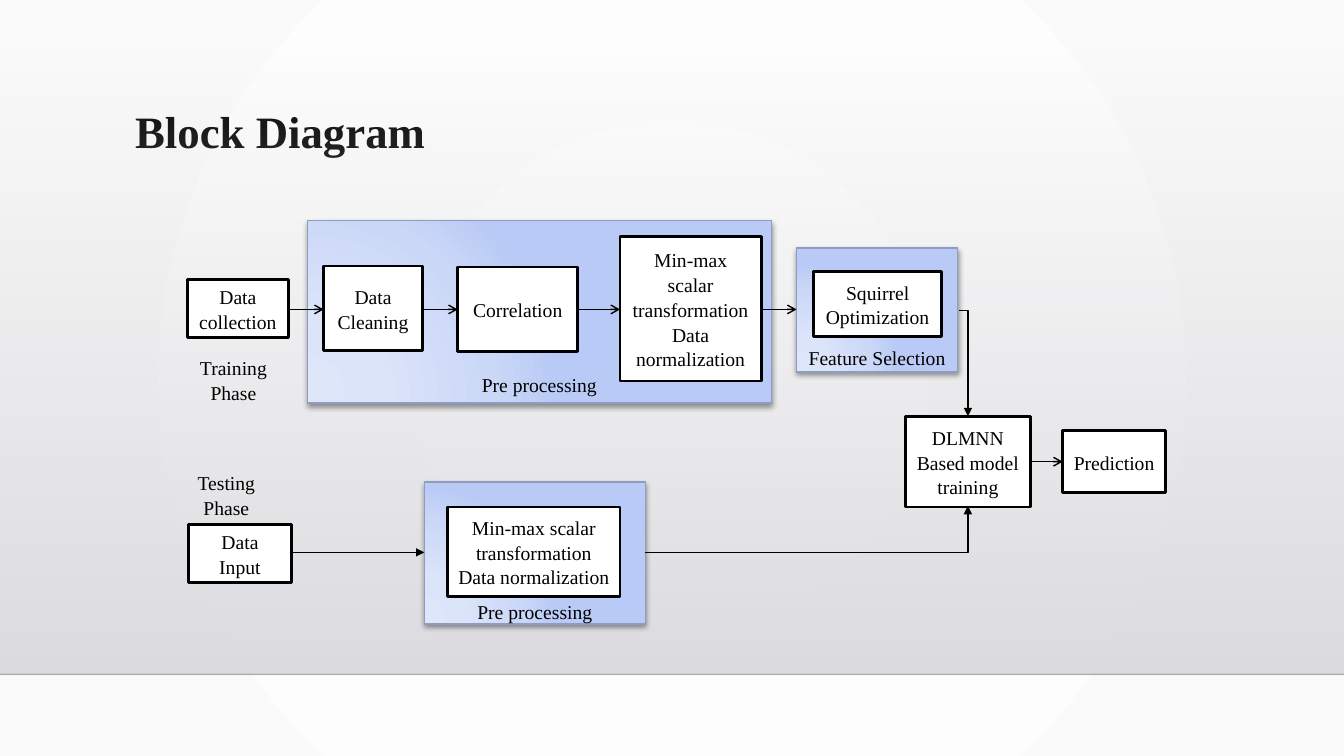
from lxml import etree
from pptx import Presentation
from pptx.dml.color import RGBColor
from pptx.enum.shapes import MSO_CONNECTOR as CONN, MSO_SHAPE as SHAPE
from pptx.enum.text import MSO_ANCHOR as ANCHOR, PP_ALIGN as ALIGN
from pptx.oxml.ns import qn
from pptx.util import Inches, Pt


def rgb(value):
    return RGBColor.from_string(value)


def add_node(parent, tag, **attrs):
    return etree.SubElement(parent, qn(tag), {k: str(v) for k, v in attrs.items()})


class Diagram:
    font, size, ink, paper = "Times New Roman", 14, "000000", "FFFFFF"
    panel_stops = [(0, "DEE6FA"), (30, "DBE4F9"), (75, "CAD7F7"), (100, "B8CAF5")]
    panel_edge = "8D9CBF"

    def __init__(self, prs):
        self.slide = prs.slides.add_slide(prs.slide_layouts[5])

    def gradient(self, parent, stops, focus=None, angle=90):
        grad = etree.Element(qn("a:gradFill"), rotWithShape="1")
        stop_list = add_node(grad, "a:gsLst")
        for pos, color, *alpha in stops:
            stop = add_node(stop_list, "a:gs", pos=pos * 1000)
            clr = add_node(stop, "a:srgbClr", val=color)
            if alpha:
                add_node(clr, "a:alpha", val=alpha[0] * 1000)
        if focus:
            circle = add_node(grad, "a:path", path="circle")
            add_node(circle, "a:fillToRect", **{k: v * 1000 for k, v in zip("ltrb", focus)})
        else:
            add_node(grad, "a:lin", ang=angle * 60000, scaled=0)
        parent.replace(parent.find(qn("a:solidFill")), grad)

    def background(self, stops, focus):
        self.slide.background.fill.solid()
        self.gradient(self.slide.element.find(".//" + qn("p:bgPr")), stops, focus)

    def set_text(self, sp, text, anchor):
        tf = sp.text_frame
        tf.word_wrap = True
        tf.vertical_anchor = anchor
        tf.text = text
        for p in tf.paragraphs:
            p.alignment = ALIGN.CENTER
            p.line_spacing = 1.05
            p.font.name, p.font.size = self.font, Pt(self.size)
            p.font.color.rgb = rgb(self.ink)
        return tf

    def title(self, text, *at):
        sp = self.slide.shapes.title
        sp.left, sp.top, sp.width, sp.height = map(Inches, at)
        tf = sp.text_frame
        tf.text = text
        tf.vertical_anchor = ANCHOR.TOP
        p = tf.paragraphs[0]
        p.alignment, p.line_spacing = ALIGN.LEFT, 0.9
        p.font.name, p.font.size, p.font.bold = self.font, Pt(32), True
        p.font.color.rgb = rgb(self.ink)

    def rect(self, at, fill, edge=None, weight=1):
        sp = self.slide.shapes.add_shape(SHAPE.RECTANGLE, *map(Inches, at))
        sp.shadow.inherit = False
        sp.fill.solid()
        sp.fill.fore_color.rgb = rgb(fill)
        if edge:
            sp.line.color.rgb = rgb(edge)
            sp.line.width = Pt(weight)
        else:
            sp.line.fill.background()
        return sp

    def shade(self, stops, *at):
        sp = self.rect(at, self.paper)
        self.gradient(sp.element.spPr, stops)

    def panel(self, text, inset, *at):
        sp = self.rect(at, self.paper, self.panel_edge)
        spPr = sp.element.spPr
        self.gradient(spPr, self.panel_stops, (5, 100, 120, 10))
        shadow = add_node(spPr.find(qn("a:effectLst")), "a:outerShdw", blurRad=Pt(4),
                          dist=Pt(2), dir=90 * 60000, algn="ctr", rotWithShape=0)
        add_node(add_node(shadow, "a:srgbClr", val="000000"), "a:alpha", val=40000)
        self.set_text(sp, text, ANCHOR.BOTTOM).margin_bottom = Inches(inset)

    def box(self, text, *at):
        self.set_text(self.rect(at, self.paper, self.ink, 2), text, ANCHOR.MIDDLE)

    def label(self, text, *at):
        self.set_text(self.slide.shapes.add_textbox(*map(Inches, at)), text, ANCHOR.TOP)

    def line(self, *ends, kind=CONN.STRAIGHT, color=ink, head=None, alpha=None):
        cxn = self.slide.shapes.add_connector(kind, *map(Inches, ends))
        cxn.line.color.rgb = rgb(color)
        cxn.line.width = Pt(1)
        spPr = cxn.element.spPr
        ln = spPr.find(qn("a:ln"))
        if head:
            add_node(ln, "a:tailEnd", type=head)
        if alpha:
            add_node(ln.find(".//" + qn("a:srgbClr")), "a:alpha", val=alpha * 1000)
        add_node(spPr, "a:effectLst")
        return cxn

    def elbow(self, *ends):
        cxn = self.line(*ends, kind=CONN.ELBOW, head="triangle")
        cxn.element.spPr.find(qn("a:prstGeom")).set("prst", "bentConnector2")


def main():
    prs = Presentation()
    prs.slide_width, prs.slide_height = Inches(13.33), Inches(7.5)
    d = Diagram(prs)

    d.background([(0, "FFFFFF"), (100, "FAFAFA")], (50, 50, 50, 50))
    d.shade([(0, "DCDCE0", 0), (100, "DEDEE2")], 0, 0.51, 13.33, 6.18)
    d.line(0, 6.69, 13.33, 6.69, color="000001", alpha=20)
    d.title("Block Diagram", 1.24, 1.04, 10.5, 1.15)

    d.panel("Pre processing", 0, 4.21, 4.78, 2.19, 1.41)
    d.panel("Pre processing", 0.07, 3.05, 2.19, 4.6, 1.81)
    d.panel("Feature Selection", 0.02, 7.9, 2.46, 1.6, 1.23)

    scaling = "Min-max scalar transformation\nData normalization"
    for text, *at in [
        ("Data collection", 1.86, 2.77, 1, 0.58),
        ("Data Cleaning", 3.21, 2.64, 0.98, 0.84),
        ("Correlation", 4.54, 2.65, 1.19, 0.84),
        (scaling, 6.15, 2.35, 1.4, 1.43),
        ("Squirrel Optimization", 8.07, 2.69, 1.27, 0.65),
        ("DLMNN Based model training", 8.98, 4.13, 1.24, 0.9),
        ("Prediction", 10.54, 4.27, 1.02, 0.62),
        ("Data Input", 1.87, 5.2, 1.02, 0.58),
        (scaling, 4.44, 5.03, 1.71, 0.89),
    ]:
        d.box(text, *at)

    d.label("Training\nPhase", 1.79, 3.47, 1.05, 0.57)
    d.label("Testing\nPhase", 1.77, 4.61, 0.95, 0.57)

    for start, end in [(2.86, 3.21), (4.19, 4.54), (5.74, 6.15), (7.55, 7.9)]:
        d.line(start, 3.07, end, 3.07, head="arrow")
    d.line(10.22, 4.58, 10.54, 4.58, head="arrow")
    d.line(2.89, 5.48, 4.21, 5.48, head="triangle")
    d.elbow(9.51, 3.08, 9.6, 4.13)
    d.elbow(6.4, 5.48, 9.6, 5.02)

    prs.save("out.pptx")


if __name__ == "__main__":
    main()
